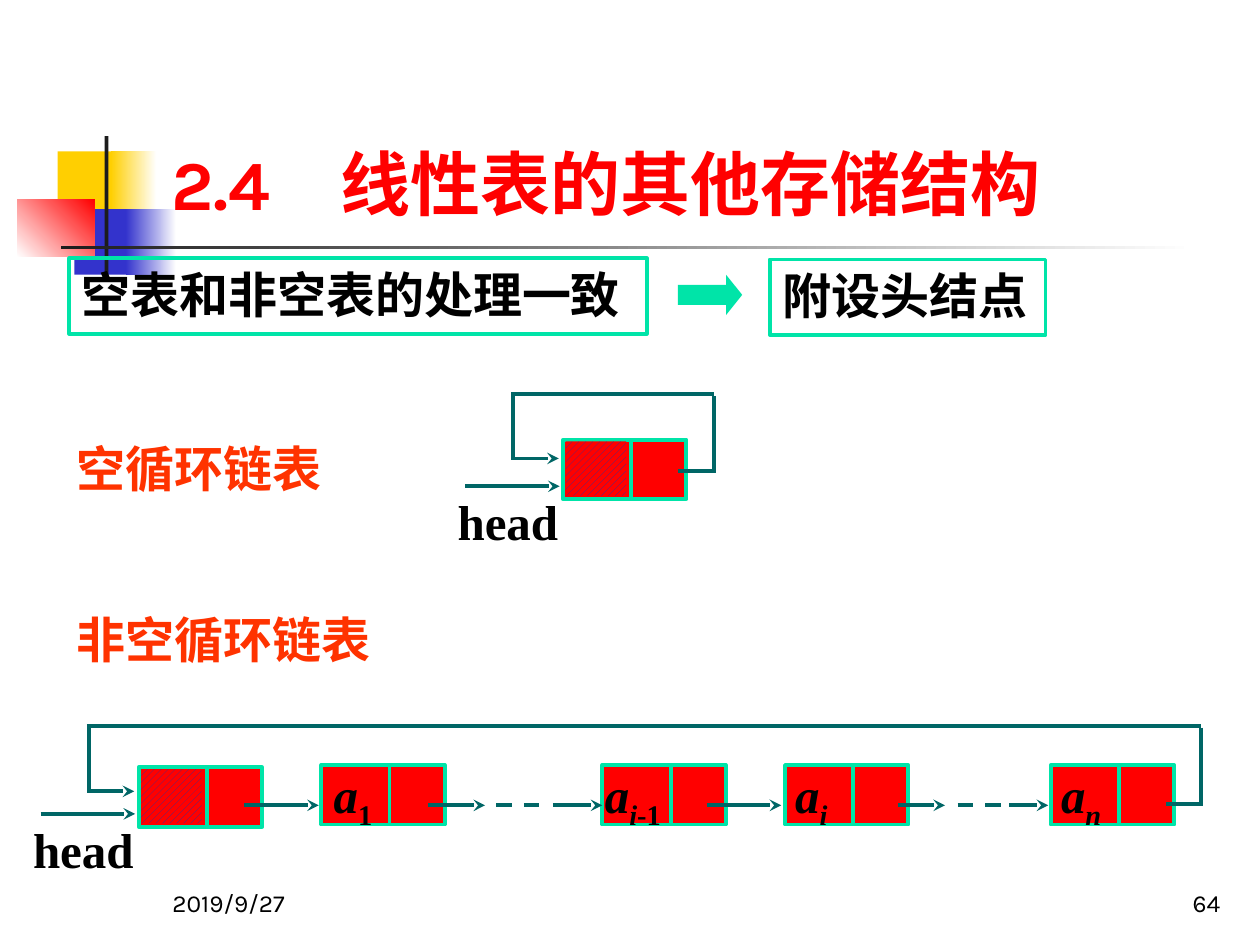
from lxml import etree
from pptx import Presentation
from pptx.dml.color import RGBColor
from pptx.enum.dml import MSO_LINE, MSO_PATTERN
from pptx.enum.shapes import MSO_CONNECTOR, MSO_SHAPE
from pptx.enum.text import MSO_ANCHOR, PP_ALIGN
from pptx.oxml.ns import qn
from pptx.util import Pt

RECT = MSO_SHAPE.RECTANGLE
ARROW = MSO_SHAPE.RIGHT_ARROW
STRAIGHT = MSO_CONNECTOR.STRAIGHT
DASH = MSO_LINE.DASH
HATCH = MSO_PATTERN.WIDE_UPWARD_DIAGONAL
TOP, BOTTOM = MSO_ANCHOR.TOP, MSO_ANCHOR.BOTTOM
LEFT, RIGHT = PP_ALIGN.LEFT, PP_ALIGN.RIGHT

COLORS = {
    "white": "FFFFFF", "black": "000000", "ink": "1C1C1C",
    "yellow": "FFCF01", "blue": "3333CC", "red": "FF0000",
    "mint": "00E4A8", "teal": "006666", "hatch": "333399",
    "orange": "FF3300",
}
CJK, SERIF, SANS, ARIAL = "Noto Sans CJK SC", "Times New Roman", "Karla", "Arial"
NODE_WIDTH, NODE_HEIGHT, NODE_SPLIT = 70.5, 34, 39
STROKE = 2.25


def rgb(name):
    return RGBColor.from_string(COLORS[name])


class ListSlide:
    def __init__(self, slide):
        self.slide = slide

    def block(self, x, y, w, h, fill=None, line=None, kind=RECT):
        shape = self.slide.shapes.add_shape(kind, Pt(x), Pt(y), Pt(w), Pt(h))
        shape.shadow.inherit = False
        if fill:
            shape.fill.solid()
            shape.fill.fore_color.rgb = rgb(fill)
        else:
            shape.fill.background()
        if line:
            shape.line.color.rgb = rgb(line)
            shape.line.width = Pt(STROKE)
        else:
            shape.line.fill.background()
        return shape

    def fade(self, x, y, w, h, start, end, angle=0):
        fill = self.block(x, y, w, h).fill
        fill.gradient()
        fill.gradient_angle = angle
        for stop, color, position in zip(fill.gradient_stops, (start, end), (0, 1)):
            stop.color.rgb = rgb(color)
            stop.position = position

    def put_runs(self, shape, runs, size=28, font=SERIF, color="black", bold=True,
                 insets=(7.2, 3.6, 7.2, 3.6), anchor=TOP, align=LEFT, wrap=True,
                 spacing=None, tab=None):
        frame = shape.text_frame
        frame.word_wrap = wrap
        frame.vertical_anchor = anchor
        (frame.margin_left, frame.margin_top,
         frame.margin_right, frame.margin_bottom) = map(Pt, insets)
        paragraph = frame.paragraphs[0]
        paragraph.alignment = align
        if spacing:
            paragraph.line_spacing = spacing
        if tab:
            stops = etree.SubElement(paragraph._p.get_or_add_pPr(), qn("a:tabLst"))
            etree.SubElement(stops, qn("a:tab"), pos=str(Pt(tab)), algn="l")
        for text, italic, subscript in runs:
            run = paragraph.add_run()
            run.text = text
            run.font.size = Pt(size)
            run.font.bold = bold
            run.font.italic = italic
            run.font.name = font
            run.font.color.rgb = rgb(color)
            properties = run.font._element
            etree.SubElement(properties, qn("a:ea"), typeface=CJK)
            if subscript:
                properties.set("baseline", "-25000")

    def text(self, x, y, w, h, content, **style):
        box = self.slide.shapes.add_textbox(Pt(x), Pt(y), Pt(w), Pt(h))
        self.put_runs(box, [(content, False, False)], **style)

    def label(self, x, y, w, content, **style):
        self.text(x, y, w, 36.7, content, insets=(0, 0, 0, 2.9), **style)

    def line(self, x1, y1, x2, y2, color="teal", arrow=False, dash=None):
        link = self.slide.shapes.add_connector(STRAIGHT, Pt(x1), Pt(y1), Pt(x2), Pt(y2))
        link.line.color.rgb = rgb(color)
        link.line.width = Pt(STROKE)
        if dash:
            link.line.dash_style = dash
        if arrow:
            outline = link._element.spPr.find(qn("a:ln"))
            etree.SubElement(outline, qn("a:tailEnd"), type="stealth")
        etree.SubElement(link._element.spPr, qn("a:effectLst"))

    def node(self, x, y, runs=(), inset=0):
        cell = self.block(x, y, NODE_WIDTH, NODE_HEIGHT, "red", "mint")
        if runs:
            self.put_runs(cell, runs, insets=(inset, 0, 0, 5.8), spacing=0.9)
        split = x + NODE_SPLIT
        self.line(split, y, split, y + NODE_HEIGHT, "mint")

    def head_node(self, x, y):
        self.line(x - 56, y + 26.6, x - 2, y + 26.6, arrow=True)
        self.label(x - 60.3, y + 29.5, 59.8, "head")
        self.node(x, y)
        fill = self.block(x + 1.4, y + 1, 34.6, 31).fill
        fill.patterned()
        fill.pattern = HATCH
        fill.fore_color.rgb = rgb("hatch")
        fill.back_color.rgb = rgb("red")

    def loop(self, head_x, last_x, top, link_y, back_y):
        start, end = head_x - 28.5, last_x + 86
        self.line(end - 1, link_y, last_x + 65.5, link_y)
        self.line(end, top + 1, end, link_y + 1)
        self.line(start - 1, top, end, top)
        self.line(start, top - 1, start, back_y + 1)
        self.line(start, back_y, head_x - 2.5, back_y, arrow=True)


def main():
    deck = Presentation()
    deck.slide_width, deck.slide_height = Pt(720), Pt(540)
    page = ListSlide(deck.slides.add_slide(deck.slide_layouts[6]))

    page.block(33, 86.5, 34.5, 37.5, "yellow")
    page.fade(63.4, 86.5, 26, 37.5, "yellow", "white")
    page.block(42.5, 119.5, 33, 37.5, "blue")
    page.fade(72, 119.5, 28.8, 37.5, "blue", "white")
    page.fade(10, 113.8, 44, 33, "white", "red", 45)
    page.block(59.8, 77.8, 2.2, 82.8, "ink")
    page.fade(34.6, 140.4, 648, 2.2, "ink", "white")

    footer = {"size": 14, "font": SANS, "bold": False, "anchor": BOTTOM}
    page.text(91.5, 491.8, 150, 36, "2019/9/27", **footer)
    page.text(554.4, 491.8, 150, 36, "64", align=RIGHT, **footer)

    problem = page.block(39.6, 147.6, 330, 43.2, line="mint")
    page.put_runs(problem, [("空表和非空表的处理一致", False, False)], font=CJK)
    remedy = page.block(440, 148.3, 157.5, 43.2, line="mint")
    page.put_runs(remedy, [("附设头结点", False, False)], font=ARIAL, wrap=False)
    implies = page.block(387.4, 157, 36.7, 23, "mint", kind=ARROW)
    implies.adjustments[0] = 0.5
    implies.adjustments[1] = 0.4

    empty_x, empty_y = 321.8, 251.3
    page.head_node(empty_x, empty_y)
    page.loop(empty_x, empty_x, 225.4, 269.3, 262)
    page.label(44, 250.6, 152.6, "空循环链表", font=CJK, color="orange")

    head_x, last_x, row_y = 79.2, 600.5, 437.2
    page.head_node(head_x, 438.5)
    a = ("a", True, False)
    for x, subscripts, inset in (
        (183.6, [("1", False, True)], 7.2),
        (344.2, [("i", True, True), ("-1", False, True)], 1.4),
        (448.6, [("i", True, True)], 5.8),
        (last_x, [("n", True, True)], 5.8),
    ):
        page.node(x, row_y, [a, *subscripts], inset)

    link_y = 460.2
    for start, end in ((139.7, 182.2), (244.8, 277.2), (316, 344.2),
                       (404, 446.4), (513.4, 540), (576.7, 599)):
        page.line(start, link_y, end, link_y, arrow=True)
    for start, end in ((283.7, 308.2), (547.2, 572.4)):
        page.line(start, link_y, end, link_y, dash=DASH)
    page.loop(head_x, last_x, 414.8, 459.4, 452.2)
    page.label(44, 348.5, 190, "非空循环链表", font=CJK, color="orange")

    page.text(90.7, 16.6, 613.4, 115.2, "2.4\t线性表的其他存储结构", size=40,
              font=SANS, color="red", anchor=BOTTOM, tab=97)
    deck.save("out.pptx")


if __name__ == "__main__":
    main()
